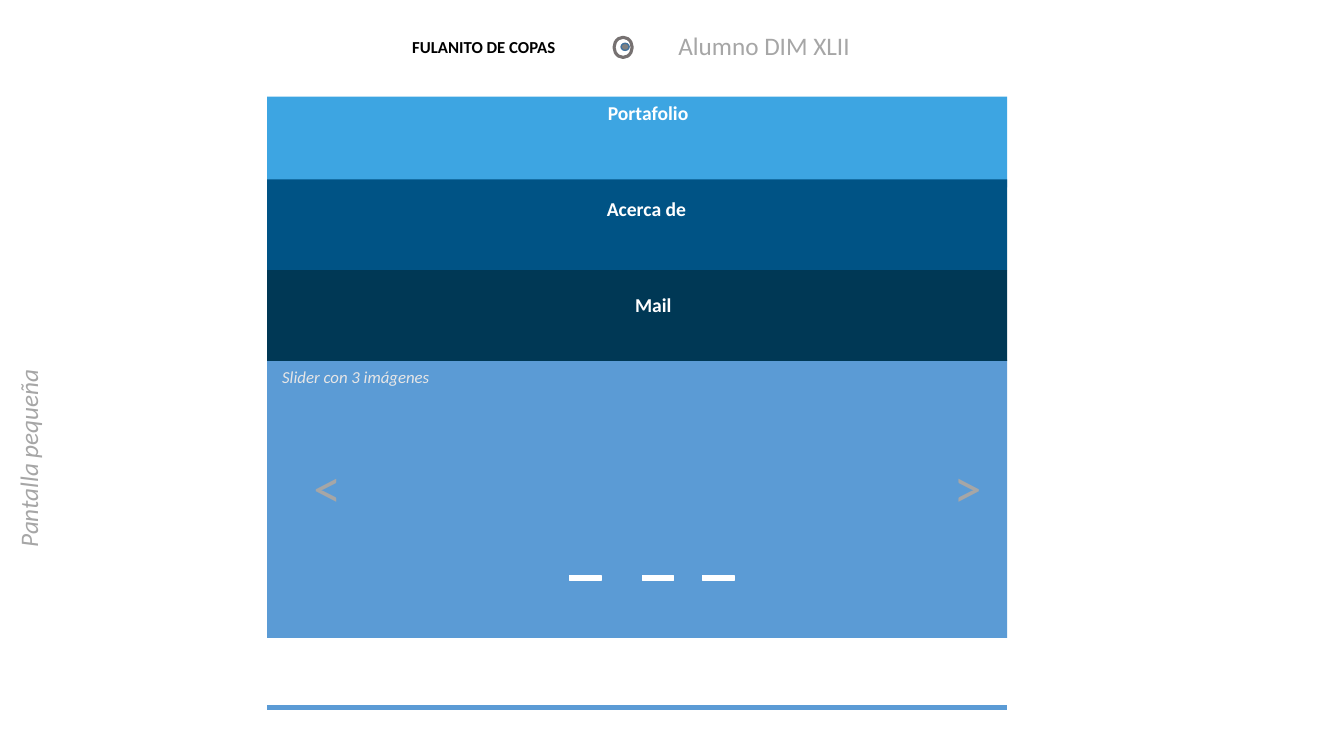
import pptx
import pptx.util
import pptx.dml.color
import pptx.enum.shapes
import pptx.enum.text
from lxml import etree

Inches = pptx.util.Inches
Pt = pptx.util.Pt
RGBColor = pptx.dml.color.RGBColor
KIND = pptx.enum.shapes.MSO_SHAPE

WHITE = RGBColor(0xFF, 0xFF, 0xFF)
BLACK = RGBColor(0, 0, 0)
SKY = RGBColor(0x3D, 0xA5, 0xE2)
OCEAN = RGBColor(0x00, 0x53, 0x85)
NAVY = RGBColor(0x00, 0x38, 0x55)
BLUE = RGBColor(0x5B, 0x9B, 0xD5)
STEEL = RGBColor(0x43, 0x73, 0x9E)
SILVER = RGBColor(0xA6, 0xA6, 0xA6)
PALE = RGBColor(0xE7, 0xE6, 0xE6)
GREY = RGBColor(0x80, 0x80, 0x80)
STONE = RGBColor(0x76, 0x71, 0x71)

LEFT, WIDE, TALL = 2.65, 7.34, 0.9


def add_box(home, kind, at, fill=None, edge=None, width=1):
    box = home.shapes.add_shape(kind, *map(Inches, at))
    box.shadow.inherit = False
    if fill is None:
        box.fill.background()
    else:
        box.fill.solid()
        box.fill.fore_color.rgb = fill
    if edge is None:
        box.line.fill.background()
    else:
        box.line.color.rgb = edge
        box.line.width = Pt(width)


def add_label(home, text, at, size, color, bold=False, italic=False):
    label = home.shapes.add_textbox(*map(Inches, at))
    frame = label.text_frame
    frame.word_wrap = True
    frame.auto_size = pptx.enum.text.MSO_AUTO_SIZE.SHAPE_TO_FIT_TEXT
    run = frame.paragraphs[0].add_run()
    run.text = text
    font = run.font
    font.name = "Calibri"
    font.size = Pt(size)
    font.color.rgb = color
    font.bold = bold
    font.italic = italic
    return label


deck = pptx.Presentation()
deck.slide_width = Inches(13.33)
deck.slide_height = Inches(7.5)
slide = deck.slides.add_slide(deck.slide_layouts[6])

# Header
add_box(slide, KIND.RECTANGLE, (LEFT, 0.1, WIDE, TALL), WHITE)
brand = slide.shapes.add_group_shape()
add_label(brand, "FULANITO DE COPAS", (3.99, 0.32, 2.45, 0.3), 12, BLACK, bold=True)
add_box(brand, KIND.OVAL, (6.09, 0.37, 0.18, 0.2), edge=STONE, width=2.25)
add_box(brand, KIND.OVAL, (6.16, 0.43, 0.08, 0.07), GREY, STEEL)
add_label(slide, "Alumno DIM XLII", (6.63, 0.25, 2.15, 0.4), 18, SILVER)

# Footer rule
rule = slide.shapes.add_connector(
    pptx.enum.shapes.MSO_CONNECTOR.STRAIGHT,
    Inches(LEFT), Inches(7.02), Inches(LEFT + WIDE), Inches(7.02))
rule.line.color.rgb = BLUE
rule.line.width = Pt(3)
etree.SubElement(rule.element.spPr, pptx.oxml.ns.qn("a:effectLst"))

# Slider
slider = slide.shapes.add_group_shape()
add_box(slider, KIND.RECTANGLE, (LEFT, 3.57, WIDE, 2.76), BLUE)
for arrow, x, width in (("<", 3.01, 0.32), (">", 9.36, 0.41)):
    label = add_label(slider, arrow, (x, 4.44, width, 0.77), 40, SILVER)
    label.text_frame.word_wrap = False
for x in (5.65, 6.37, 6.97):
    add_box(slider, KIND.RECTANGLE, (x, 5.71, 0.31, 0.05), WHITE, WHITE)
add_label(slider, "Slider con 3 imágenes", (2.7, 3.59, 1.96, 0.3), 12, PALE, italic=True)

# Menu bands
for name, top, fill, x, y, width in (
    ("Portafolio", 0.96, SKY, 5.93, 0.95, 1.04),
    ("Acerca de", 1.78, OCEAN, 5.92, 1.9, 1.04),
    ("Mail", 2.68, NAVY, 6.2, 2.86, 0.76),
):
    add_box(slide, KIND.RECTANGLE, (LEFT, top, WIDE, TALL), fill)
    add_label(slide, name, (x, y, width, 0.34), 14, WHITE, bold=True)

side = add_label(slide, "Pantalla pequeña", (-1.41, 3.64, 3.38, 0.4), 18, SILVER, italic=True)
side.rotation = 270

deck.save("out.pptx")
